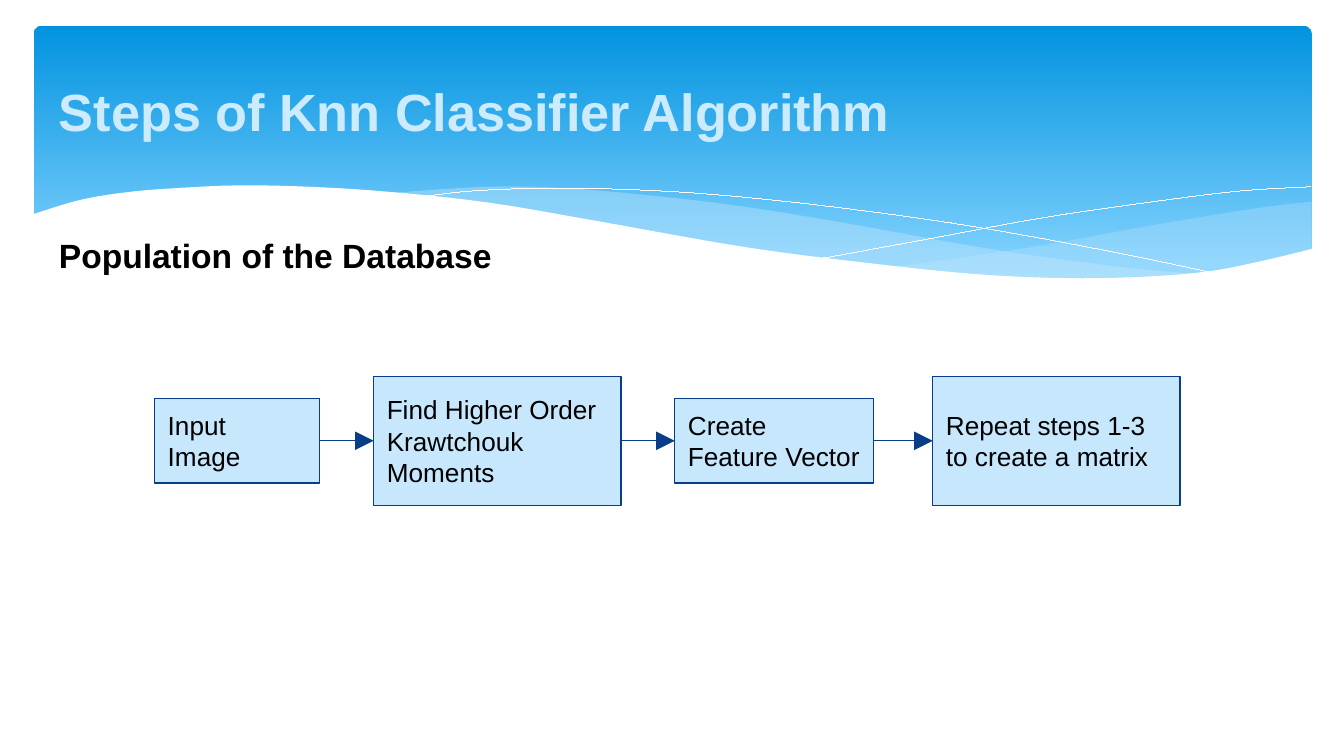
from lxml import etree
from pptx import Presentation
from pptx.dml.color import RGBColor
from pptx.enum import shapes, text
from pptx.oxml import ns
from pptx.util import Inches, Pt

FONT = "Arial"
BLACK = RGBColor(0x00, 0x00, 0x00)
WHITE = RGBColor(0xFF, 0xFF, 0xFF)
NAVY = RGBColor(0x07, 0x3E, 0x87)
PALE_BLUE = RGBColor(0xC6, 0xE7, 0xFC)
TITLE_BLUE = RGBColor(0xCD, 0xEB, 0xFF)
BANNER_TOP = RGBColor(0x02, 0x93, 0xE0)
BANNER_BOTTOM = RGBColor(0x83, 0xD3, 0xFE)
HAIRLINE = Pt(0.01)

# Knots of the banner's curves, in inches
RIGHT_WAVE_TOP = [(9.76, 1.5), (9.35, 1.55), (8.61, 1.67), (7.79, 1.82), (7.06, 1.93), (6.61, 1.99)]
RIGHT_WAVE_BOTTOM = [(6.61, 1.99), (7.05, 2.03), (7.57, 2.07), (8.14, 2.08), (8.72, 2.06),
                     (9.21, 1.99), (9.76, 1.85)]
LONG_WAVE_TOP = [(8.93, 2.04), (8.37, 1.99), (7.41, 1.86), (6.29, 1.66), (5.55, 1.54),
                 (4.89, 1.46), (4.2, 1.4), (3.61, 1.39), (2.86, 1.44)]
LONG_WAVE_BOTTOM = [(2.86, 1.44), (3.62, 1.52), (4.49, 1.66), (5.3, 1.8), (6.01, 1.91),
                    (6.8, 2.01), (7.48, 2.07), (8.18, 2.09), (8.93, 2.04)]
FALLING_LINE = [(3.09, 1.47), (3.53, 1.42), (4.16, 1.4), (4.89, 1.42), (5.56, 1.47),
                (6.36, 1.56), (7.27, 1.69), (8.31, 1.88), (9.07, 2.04)]
RISING_LINE = [(6.13, 1.92), (6.95, 1.77), (7.76, 1.62), (8.66, 1.49), (9.24, 1.42), (9.75, 1.39)]
WHITE_WAVE = [(9.77, 1.85), (9.4, 1.94), (8.99, 2.02), (8.5, 2.06), (7.93, 2.07), (7.26, 2.04),
              (6.48, 1.96), (5.55, 1.84), (4.47, 1.65), (3.65, 1.51), (2.92, 1.43), (2.3, 1.39),
              (1.77, 1.38), (1.32, 1.4), (0.95, 1.43), (0.59, 1.49), (0.23, 1.6)]
WHITE_BASE = [(0.23, 2.47), (9.77, 2.47)]

# Flow boxes: text, left, width, height, right inset
STEPS = [
    ("Input Image", 1.15, 1.23, 0.63, 0.15),
    ("Find Higher Order Krawtchouk Moments", 2.78, 1.84, 0.96, 0.09),
    ("Create Feature Vector", 5.02, 1.48, 0.63, 0.09),
    ("Repeat steps 1-3 to create a matrix", 6.94, 1.84, 0.96, 0.09),
]
FLOW_MIDDLE = 3.28


def smooth(knots, steps=5):
    """Return points on a Catmull-Rom curve through the knots."""
    padded = [knots[0], *knots, knots[-1]]
    points = [knots[0]]
    for a, b, c, d in zip(padded, padded[1:], padded[2:], padded[3:]):
        for step in range(1, steps + 1):
            t = step / steps
            points.append(tuple(
                q + t * (r - p) / 2 + t ** 2 * (2 * p - 5 * q + 4 * r - s) / 2
                + t ** 3 * (3 * q - p - 3 * r + s) / 2
                for p, q, r, s in zip(a, b, c, d)))
    return points


def add_outline(slide, points, closed):
    vertices = [(Inches(x), Inches(y)) for x, y in points]
    builder = slide.shapes.build_freeform(*vertices[0])
    builder.add_line_segments(vertices[1:], close=closed)
    shape = builder.convert_to_shape()
    shape.shadow.inherit = False
    return shape


def add_wave(slide, points, color, opacity=100):
    shape = add_outline(slide, points, True)
    shape.line.fill.background()
    shape.fill.solid()
    shape.fill.fore_color.rgb = color
    if opacity < 100:
        color_element = shape.fill._xPr.find(".//" + ns.qn("a:srgbClr"))
        etree.SubElement(color_element, ns.qn("a:alpha"), val=str(opacity * 1000))


def add_curve(slide, knots):
    shape = add_outline(slide, smooth(knots), False)
    shape.fill.background()
    shape.line.color.rgb = WHITE
    shape.line.width = HAIRLINE


def add_banner(slide):
    banner = slide.shapes.add_shape(shapes.MSO_SHAPE.ROUNDED_RECTANGLE, Inches(0.25),
                                    Inches(0.19), Inches(9.51), Inches(2.02))
    banner.adjustments[0] = 0.03
    banner.shadow.inherit = False
    banner.line.fill.background()
    banner.fill.gradient()
    banner.fill.gradient_angle = 270
    first, last = banner.fill.gradient_stops
    first.color.rgb, first.position = BANNER_TOP, 0
    last.color.rgb, last.position = BANNER_BOTTOM, 0.9
    add_wave(slide, smooth(RIGHT_WAVE_TOP) + smooth(RIGHT_WAVE_BOTTOM), PALE_BLUE, 29)
    add_wave(slide, smooth(LONG_WAVE_TOP) + smooth(LONG_WAVE_BOTTOM), PALE_BLUE, 40)
    add_curve(slide, FALLING_LINE)
    add_curve(slide, RISING_LINE)
    add_wave(slide, smooth(WHITE_WAVE) + WHITE_BASE, WHITE)


def write(shape, content, size, color, bold=False, right_inset=0.1):
    frame = shape.text_frame
    frame.word_wrap = True
    frame.margin_left = frame.margin_top = frame.margin_bottom = Inches(0.1)
    frame.margin_right = Inches(right_inset)
    paragraph = frame.paragraphs[0]
    paragraph.text = content
    paragraph.alignment = text.PP_ALIGN.LEFT
    font = paragraph.font
    font.name, font.size, font.bold = FONT, Pt(size), bold
    font.color.rgb = color
    return paragraph


def add_text(slide, content, left, top, width, height, size, color):
    box = slide.shapes.add_textbox(Inches(left), Inches(top), Inches(width), Inches(height))
    return write(box, content, size, color, bold=True)


def add_step(slide, content, left, width, height, right_inset):
    box = slide.shapes.add_shape(shapes.MSO_SHAPE.RECTANGLE, Inches(left),
                                 Inches(FLOW_MIDDLE - height / 2), Inches(width), Inches(height))
    box.shadow.inherit = False
    box.fill.solid()
    box.fill.fore_color.rgb = PALE_BLUE
    box.line.color.rgb = NAVY
    box.line.width = Pt(0.75)
    box.text_frame.vertical_anchor = text.MSO_ANCHOR.MIDDLE
    write(box, content, 14, BLACK, right_inset=right_inset)
    return box


def add_arrow(slide, source, target):
    arrow = slide.shapes.add_connector(shapes.MSO_CONNECTOR.STRAIGHT, 0, 0, 0, 0)
    arrow.begin_connect(source, 3)
    arrow.end_connect(target, 1)
    arrow.line.color.rgb = NAVY
    arrow.line.width = Pt(0.75)
    etree.SubElement(arrow.line._get_or_add_ln(), ns.qn("a:tailEnd"),
                     type="triangle", w="lg", len="lg")
    etree.SubElement(arrow._element.spPr, ns.qn("a:effectLst"))


def main():
    # Widescreen slide, 16:9
    presentation = Presentation()
    presentation.slide_width = Inches(10)
    presentation.slide_height = Inches(10 * 9 / 16)
    slide = presentation.slides.add_slide(presentation.slide_layouts[6])

    # Banner and headings
    add_banner(slide)
    add_text(slide, "Steps of Knn Classifier Algorithm", 0.34, 0.49, 9.32, 0.63, 28, TITLE_BLUE)
    heading = add_text(slide, "Population of the Database", 0.34, 1.6, 9.56, 3.74, 18, BLACK)
    heading.line_spacing = 1.15

    # Flow of steps
    boxes = [add_step(slide, *step) for step in STEPS]
    for source, target in zip(boxes, boxes[1:]):
        add_arrow(slide, source, target)

    presentation.save("out.pptx")


if __name__ == "__main__":
    main()
